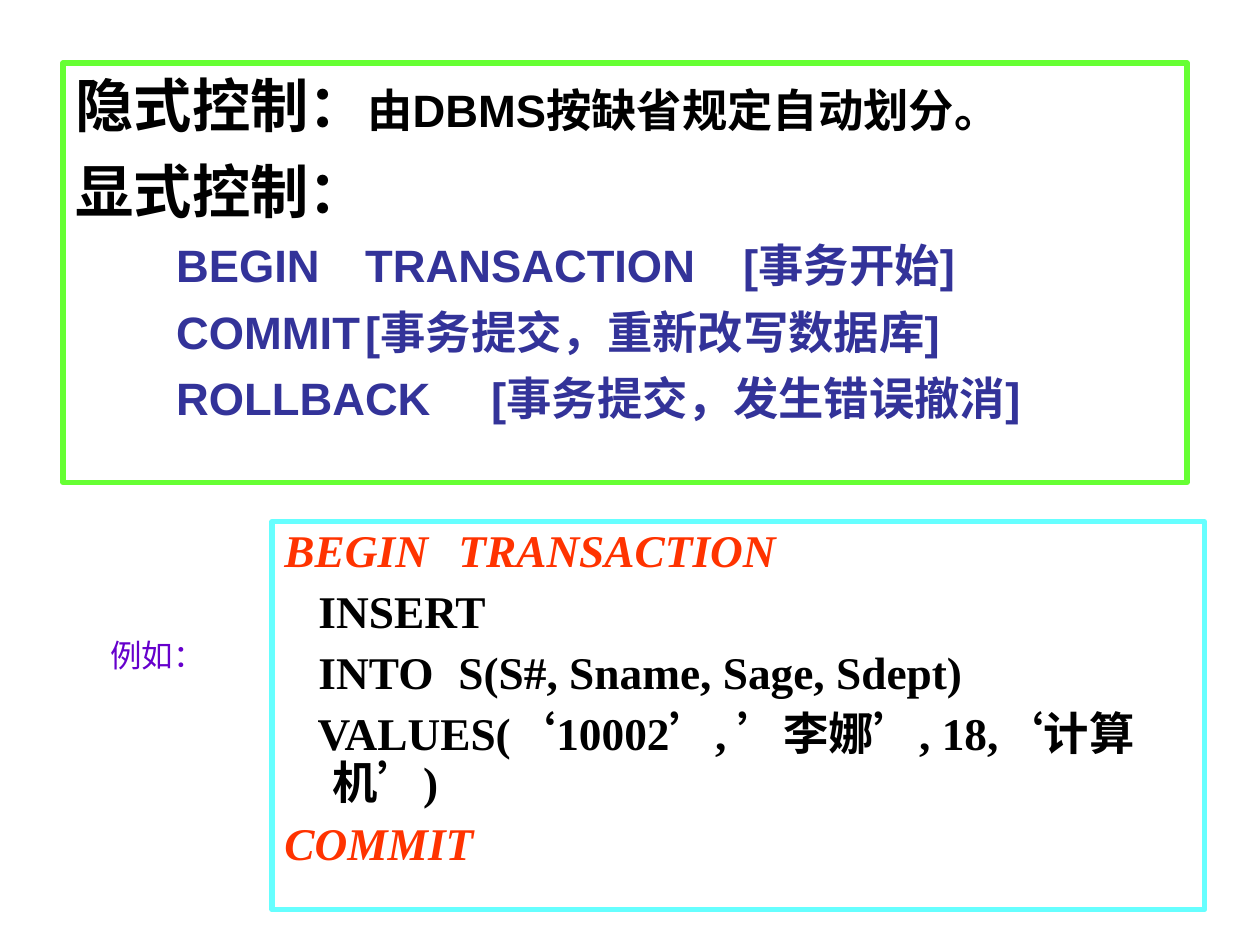
from lxml import etree
from pptx import Presentation
from pptx import util as u
from pptx.dml.color import RGBColor
from pptx.enum import shapes, text
from pptx.oxml.ns import qn

WHITE = RGBColor(0xFF, 0xFF, 0xFF)
BLACK = RGBColor(0, 0, 0)
GREEN = RGBColor(0x66, 0xFF, 0x33)
CYAN = RGBColor(0x66, 0xFF, 0xFF)
NAVY = RGBColor(0x33, 0x33, 0x99)
RED = RGBColor(0xFF, 0x33, 0x00)
PURPLE = RGBColor(0x66, 0x00, 0xCC)
CJK = "Noto Sans CJK SC"


def add_frame(s, left, top, width, height, line):
    sp = s.shapes.add_shape(shapes.MSO_SHAPE.RECTANGLE, u.Inches(left), u.Inches(top),
                            u.Inches(width), u.Inches(height))
    sp.shadow.inherit = False
    sp.fill.solid()
    sp.fill.fore_color.rgb = WHITE
    sp.line.color.rgb = line
    sp.line.width = u.Pt(3)
    tf = sp.text_frame
    tf.word_wrap = True
    tf.vertical_anchor = text.MSO_ANCHOR.TOP
    return tf


def add_line(tf, runs, font, before=0, left=0.38, first=-0.38, tabs=()):
    p = tf.paragraphs[0] if not tf.paragraphs[0].runs else tf.add_paragraph()
    p.alignment = text.PP_ALIGN.LEFT
    p.space_before = u.Pt(before)
    pPr = p._p.get_or_add_pPr()
    pPr.set("marL", str(u.Inches(left)))
    pPr.set("indent", str(u.Inches(first)))
    if tabs:
        tab_list = etree.SubElement(pPr, qn("a:tabLst"))
        for pos in tabs:
            etree.SubElement(tab_list, qn("a:tab"), pos=str(u.Inches(pos)), algn="l")
    for words, size, color, bold, italic in runs:
        r = p.add_run()
        r.text = words
        r.font.size = u.Pt(size)
        r.font.bold = bold
        r.font.italic = italic
        r.font.color.rgb = color
        r.font.name = font
        etree.SubElement(r.font._element, qn("a:ea"), typeface=CJK)
    return p


prs = Presentation()
prs.slide_width, prs.slide_height = u.Inches(10), u.Inches(7.5)
s = prs.slides.add_slide(prs.slide_layouts[6])

# Implicit and explicit transaction control
tf = add_frame(s, 0.5, 0.5, 8.92, 3.33, GREEN)
add_line(tf, [("隐式控制：", 33.3, BLACK, True, False),
              ("由DBMS按缺省规定自动划分。", 25.9, BLACK, True, False)], "Arial")
add_line(tf, [("显式控制：", 33.3, BLACK, True, False)], "Arial", before=9)
commands = [
    ("BEGIN\tTRANSACTION\t[事务开始]", (2.24, 5.76)),
    ("COMMIT\t[事务提交，重新改写数据库]", (3.36,)),
    ("ROLLBACK\t[事务提交，发生错误撤消]", (3.42,)),
]
for words, tabs in commands:
    add_line(tf, [(words, 25.9, NAVY, True, False)], "Arial", before=7,
             left=0.8, first=0, tabs=tabs)

# Example transaction
tf = add_frame(s, 2.16, 4.14, 7.4, 3.08, CYAN)
code = [
    ("BEGIN\tTRANSACTION", True, (1.43,)),
    ("   INSERT", False, ()),
    ("   INTO\tS(S#, Sname, Sage, Sdept)", False, (1.37,)),
    ("   VALUES(‘10002’, ’李娜’, 18,‘计算机’)", False, ()),
    ("COMMIT", True, ()),
]
for i, (words, keyword, tabs) in enumerate(code):
    p = add_line(tf, [(words, 25.9, RED if keyword else BLACK, True, keyword)],
                 "Times New Roman", before=7 if i else 0, tabs=tabs)
    p.line_spacing = 0.9

# Example label
sp = s.shapes.add_textbox(u.Inches(0.5), u.Inches(5), u.Inches(1.5), u.Inches(1.21))
tf = sp.text_frame
tf.word_wrap = False
p = add_line(tf, [("例如：", 18, PURPLE, False, False)], CJK, left=0, first=0)
p.alignment = text.PP_ALIGN.CENTER

prs.save("out.pptx")
